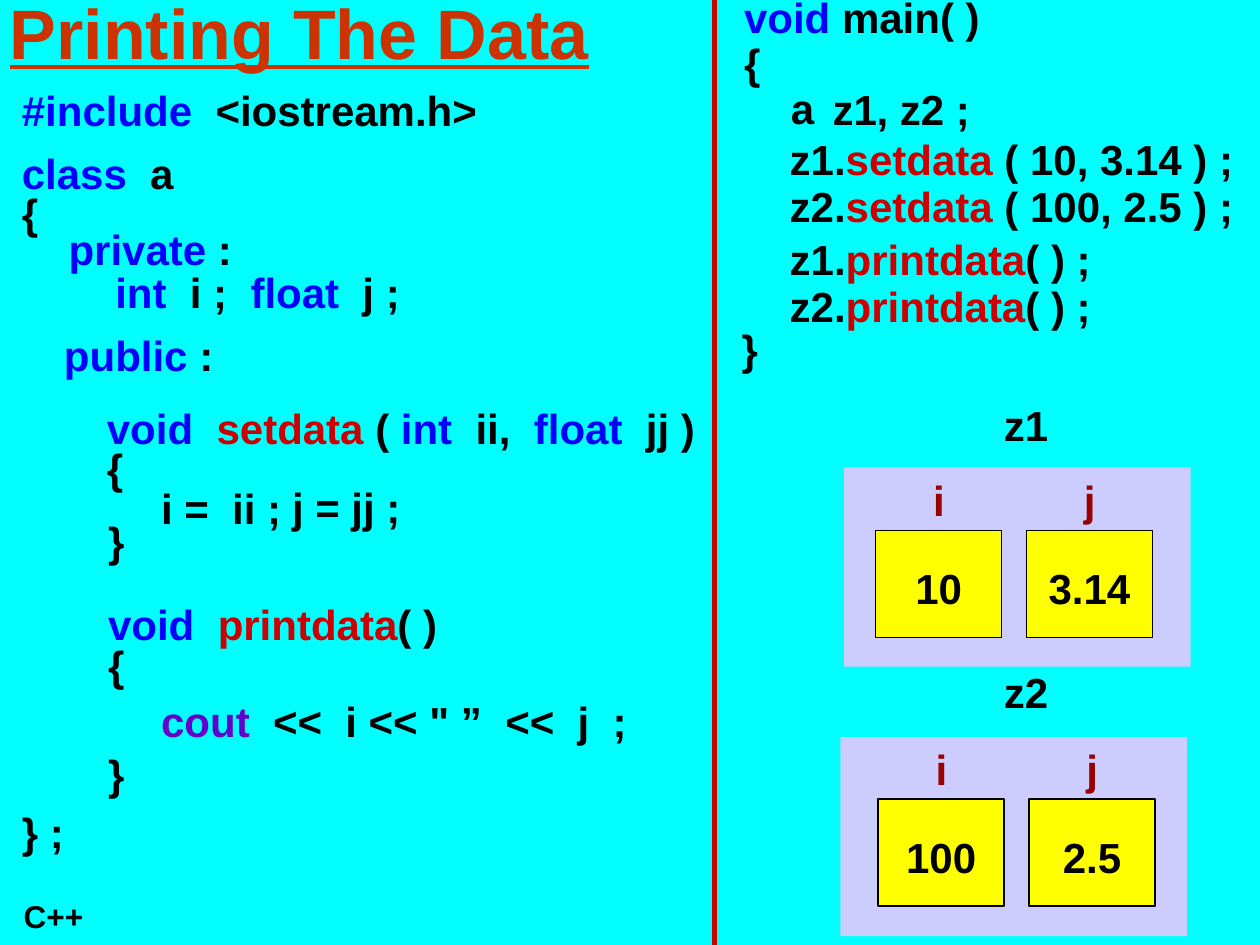
import pptx
import pptx.util
import pptx.dml.color
import pptx.enum.shapes
import pptx.enum.text
import pptx.oxml.ns
import lxml.etree

Pt = pptx.util.Pt
ALIGN = pptx.enum.text.PP_ALIGN
COLORS = {
    "back": "00FFFF", "title": "CC3300", "key": "0000FF", "name": "CC0000",
    "text": "000000", "stream": "6600CC", "member": "990000",
    "panel": "CCCCFF", "cell": "FFFF00", "rule": "CC0000",
}
LINE_H = 36
STEP = 26.7
SLACK = 6

TITLE = "Printing The Data"
INCLUDE = [[("#include  ", "key"), ("<iostream.h>", "text")]]
CLASS_HEAD = [
    [("class", "key"), ("  a", "text")],
    [("{", "text")],
    [("private", "key"), (" :", "text")],
    [("int", "key"), ("  i ;  ", "text"), ("float", "key"), ("  j ;", "text")],
]
SETDATA = [
    [("void  ", "key"), ("setdata", "name"), (" ( ", "text"), ("int", "key"),
     ("  ii,  ", "text"), ("float", "key"), ("  jj )", "text")],
    [("{", "text")],
]
PRINTDATA = [
    [("void  ", "key"), ("printdata", "name"), ("( )", "text")],
    [("{", "text")],
]
MAIN = [
    [("void ", "key"), ("main( )", "text")],
    [("{", "text")],
    [("a", "text")],
]
CODE_LINES = [
    (29.5, 185, 99.4, [("public", "key"), (" :", "text")]),
    (85, 272.2, 89.3, [("i =  ii ;", "text")]),
    (159.8, 271.4, 76.3, [("j = jj ;", "text")]),
    (54.7, 290.9, 23.8, [("}", "text")]),
    (85, 393.8, 287.3, [("cout", "stream"), ("  <<  i << \" ”  <<  j  ;", "text")]),
    (54.7, 424.1, 23.8, [("}", "text")]),
    (5.4, 457.5, 44, [("} ;", "text")]),
    (468.7, 43.9, 39.6, [("z1", "text")]),
    (493.9, 43.9, 67.7, [(", z2 ;", "text")]),
]
CALLS = [
    ("z1.", "setdata ", "( 10, 3.14 ) ;", 72.7, 267.8, 1),
    ("z2.", "setdata ", "( 100, 2.5 ) ;", 103, 267.8, 0.9),
    ("z1.", "printdata", "( ) ;", 129.8, 186.5, 1),
    ("z2.", "printdata", "( ) ;", 159.8, 186.5, 0.9),
]
OBJECTS = [
    {"name": "z1", "name_y": 224.6, "panel": (482.4, 267.1), "cells": (500.4, 303.1),
     "values": [("i", "10"), ("j", "3.14")]},
    {"name": "z2", "name_y": 377.6, "panel": (480.2, 421.2), "cells": (501.8, 456.5),
     "values": [("i", "100"), ("j", "2.5")]},
]
PANEL_W, PANEL_H = 198, 113.8
CELL_W, CELL_H, CELL_PITCH = 72, 61.2, 86.2


def rgb(key):
    return pptx.dml.color.RGBColor.from_string(COLORS[key])


def add_text(slide, text, x, y, w, h=LINE_H, size=24, color="text", align=ALIGN.LEFT,
             spacing=1, indents=(), underline=None, middle=False):
    lines = [[(text, color)]] if isinstance(text, str) else text
    spacings = spacing if isinstance(spacing, list) else [spacing] * len(lines)
    left = x - SLACK / 2 if align == ALIGN.CENTER else x
    tf = slide.shapes.add_textbox(Pt(left), Pt(y), Pt(w + SLACK), Pt(h)).text_frame
    tf.word_wrap = True
    if middle:
        tf.vertical_anchor = pptx.enum.text.MSO_ANCHOR.MIDDLE
    for i, runs in enumerate(lines):
        p = tf.paragraphs[0] if i == 0 else tf.add_paragraph()
        p.alignment = align
        p.line_spacing = spacings[i]
        if i < len(indents) and indents[i]:
            p._p.get_or_add_pPr().set("marL", str(int(Pt(indents[i] * STEP))))
        for words, key in runs:
            r = p.add_run()
            r.text = words
            r.font.name = "Arial"
            r.font.size = Pt(size)
            r.font.bold = True
            r.font.underline = underline
            r.font.color.rgb = rgb(key)


def add_box(slide, x, y, w, h, fill, line=None):
    sp = slide.shapes.add_shape(pptx.enum.shapes.MSO_SHAPE.RECTANGLE,
                                Pt(x), Pt(y), Pt(w), Pt(h))
    sp.shadow.inherit = False
    sp.fill.solid()
    sp.fill.fore_color.rgb = rgb(fill)
    if line:
        sp.line.color.rgb = rgb(line)
        sp.line.width = Pt(0.75)
    else:
        sp.line.fill.background()


def add_object(slide, obj):
    add_box(slide, *obj["panel"], PANEL_W, PANEL_H, "panel")
    add_text(slide, obj["name"], 566.6, obj["name_y"], 39.6)
    left, top = obj["cells"]
    for i, (member, value) in enumerate(obj["values"]):
        x = left + i * CELL_PITCH
        add_box(slide, x, top, CELL_W, CELL_H, "cell", line="text")
        add_text(slide, member, x + 25.7, top - 35.2, 20.9, color="member")
        add_text(slide, value, x, top + 15, CELL_W, align=ALIGN.CENTER)


def add_divider(slide, x):
    line = slide.shapes.add_connector(pptx.enum.shapes.MSO_CONNECTOR.STRAIGHT,
                                      Pt(x), Pt(0), Pt(x), Pt(540))
    line.line.color.rgb = rgb("rule")
    line.line.width = Pt(3)
    lxml.etree.SubElement(line._element.spPr, pptx.oxml.ns.qn("a:effectLst"))


def main():
    prs = pptx.Presentation()
    prs.slide_width, prs.slide_height = Pt(720), Pt(540)
    slide = prs.slides.add_slide(prs.slide_layouts[6])
    slide.background.fill.solid()
    slide.background.fill.fore_color.rgb = rgb("back")

    add_text(slide, TITLE, -19.4, -27, 380.9, 90, size=40, color="title",
             align=ALIGN.CENTER, underline=True, middle=True)
    add_text(slide, INCLUDE, 5.4, 52.9, 306.7, spacing=0.7)
    add_text(slide, CLASS_HEAD, 5.4, 88.9, 238.3, 100,
             spacing=[0.7, 0.8, 0.7, 0.9], indents=(0, 0, 1, 2))
    add_text(slide, SETDATA, 54, 231.8, 349.9, 53.3, spacing=0.8)
    add_text(slide, PRINTDATA, 54.7, 344.2, 202.3, 53.3, spacing=0.8)
    add_text(slide, MAIN, 418.1, -5, 149, 85, spacing=0.9, indents=(0, 0, 1))
    for x, y, w, runs in CODE_LINES:
        add_text(slide, [runs], x, y, w)
    for var, method, args, y, w, spacing in CALLS:
        add_text(slide, [[(var, "text"), (method, "name"), (args, "text")]],
                 444.2, y, w, LINE_H * spacing, spacing=spacing)
    add_text(slide, "}", 416.7, 184.3, 23.8, 33, spacing=0.9)
    for obj in OBJECTS:
        add_object(slide, obj)
    add_divider(slide, 408.2)
    add_text(slide, "C++", 6.5, 509.2, 48.2, 28.8, size=18)
    prs.save("out.pptx")


if __name__ == "__main__":
    main()
